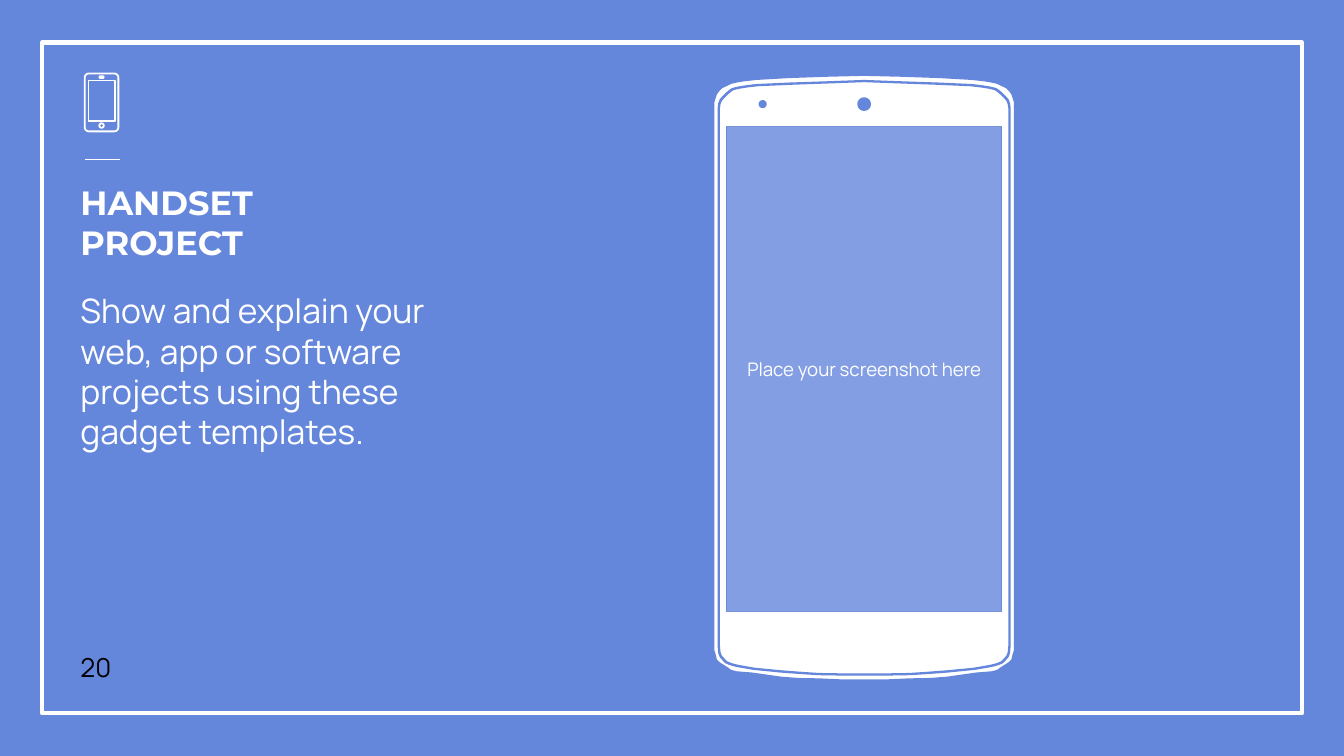
from math import cos, pi, sin

from lxml.etree import SubElement
from pptx import Presentation
from pptx.dml.color import RGBColor
from pptx.enum.shapes import MSO_CONNECTOR, MSO_SHAPE
from pptx.enum.text import MSO_ANCHOR, PP_ALIGN
from pptx.oxml.ns import qn
from pptx.util import Pt

BLUE = RGBColor(0x64, 0x86, 0xDB)
WHITE = RGBColor(0xFF, 0xFF, 0xFF)
BLACK = RGBColor(0x00, 0x00, 0x00)

CENTER_X, CENTER_Y = 462.95, 202.4
SCREEN = (389.5, 67.7, 146.9, 260)

CASE_HALF = [
    (0, 40.3), (20, 40.8), (40.3, 41.5), (57.6, 42.5), (64.1, 43.2),
    (68.4, 43.9), (71.3, 44.6), (74.2, 46), (76.3, 47), (77.8, 48.5),
    (79.2, 50.4), (79.9, 52.5), (80.6, 54.7), (80.6, 348.5),
    (79.9, 350.6), (79.2, 353.5), (77.8, 355), (75.6, 356.4),
    (73.4, 357.8), (71.3, 359.3), (68.4, 360), (59.8, 360.7),
    (44.6, 362.9), (35.3, 363.6), (24.5, 363.8), (13, 364.3), (0, 364.3),
]
BEZEL_HALF = [
    (0, 43.2), (19.4, 43.9), (39.6, 44.6), (57.6, 45.4), (63.4, 46.1),
    (67.7, 46.8), (70.6, 47.5), (72.7, 49), (74.2, 50.4), (75.6, 51.8),
    (77, 53.3), (77.8, 55.4), (78.1, 57.6), (78.1, 346.3),
    (77.8, 349.9), (77, 352), (75.6, 353.5), (74.2, 355),
    (72.7, 355.7), (70.6, 356.4), (67.7, 357.1), (59, 358.6),
    (44.6, 360), (35.3, 360.7), (24.5, 361.4), (13, 361.6), (0, 361.6),
]


def mirrored(half, inset=0):
    across = 1 - inset / half[len(half) // 2][0]
    down = 1 - inset / (CENTER_Y - half[0][1])
    right = [(x * across, CENTER_Y + (y - CENTER_Y) * down) for x, y in half]
    left = [(-x, y) for x, y in reversed(right[1:-1])]
    return [(CENTER_X + x, y) for x, y in right + left]


def rounded(left, top, width, height, radius=0):
    if not radius:
        right, bottom = left + width, top + height
        return [(left, top), (right, top), (right, bottom), (left, bottom)]
    corners = [
        (left + width - radius, top + height - radius),
        (left + radius, top + height - radius),
        (left + radius, top + radius),
        (left + width - radius, top + radius),
    ]
    return [
        (x + radius * cos((quarter + step / 4) * pi / 2),
         y + radius * sin((quarter + step / 4) * pi / 2))
        for quarter, (x, y) in enumerate(corners)
        for step in range(5)
    ]


def circle(x, y, radius):
    return rounded(x - radius, y - radius, 2 * radius, 2 * radius, radius)


def paint(shape, fill=None, line=None, width=0.75):
    shape.shadow.inherit = False
    if fill is None:
        shape.fill.background()
    else:
        shape.fill.solid()
        shape.fill.fore_color.rgb = fill
    if line is None:
        shape.line.fill.background()
    else:
        shape.line.color.rgb = line
        shape.line.width = Pt(width)


def add_outline(page, contours, **style):
    contours = [[(Pt(x), Pt(y)) for x, y in contour] for contour in contours]
    builder = page.shapes.build_freeform(*contours[0][0])
    for index, contour in enumerate(contours):
        if index:
            builder.move_to(*contour[0])
        builder.add_line_segments(contour[1:], close=True)
    paint(builder.convert_to_shape(), **style)


def add_rectangle(page, bounds, **style):
    box = page.shapes.add_shape(MSO_SHAPE.RECTANGLE, *map(Pt, bounds))
    paint(box, **style)
    return box


def add_rule(page, left, right, y):
    rule = page.shapes.add_connector(
        MSO_CONNECTOR.STRAIGHT, Pt(left), Pt(y), Pt(right), Pt(y))
    rule.line.color.rgb = WHITE
    rule.line.width = Pt(0.75)
    SubElement(rule._element.spPr, qn("a:effectLst"))


def write(box, text, size, font="Manrope", color=WHITE, bold=False,
          align=PP_ALIGN.LEFT, anchor=MSO_ANCHOR.TOP):
    frame = box.text_frame
    frame.word_wrap = True
    frame.vertical_anchor = anchor
    frame.margin_left = frame.margin_right = Pt(7.2)
    frame.margin_top = frame.margin_bottom = Pt(7.2)
    frame.text = text
    para = frame.paragraphs[0]
    para.alignment = align
    span = para.runs[0]
    span.font.name = font
    span.font.size = Pt(size)
    span.font.bold = bold
    span.font.color.rgb = color


def add_text(page, bounds, text, size, **style):
    write(page.shapes.add_textbox(*map(Pt, bounds)), text, size, **style)


def add_phone(page):
    add_outline(page, [
        mirrored(CASE_HALF),
        mirrored(BEZEL_HALF),
        mirrored(BEZEL_HALF, inset=0.5),
        rounded(*SCREEN),
        circle(CENTER_X, 55.8, 3.3),
        circle(408.6, 55.8, 1.8),
    ], fill=WHITE, line=BLUE)


def add_screen(page):
    screen = add_rectangle(page, SCREEN, fill=WHITE)
    color = screen.fill._xPr.find(qn("a:solidFill"))[0]
    SubElement(color, qn("a:alpha"), val="20000")
    write(screen, "Place your screenshot here", 10,
          align=PP_ALIGN.CENTER, anchor=MSO_ANCHOR.MIDDLE)


def add_phone_icon(page):
    add_outline(page, [
        rounded(45.4, 39.4, 18, 31, 2.2),
        rounded(53.3, 40.9, 2.2, 0.9, 0.4),
        circle(54.4, 67.3, 1.2),
        rounded(47.4, 43.2, 14, 21.6),
    ], line=WHITE, width=0.96)


def main():
    deck = Presentation()
    deck.slide_width, deck.slide_height = Pt(720), Pt(405)
    page = deck.slides.add_slide(deck.slide_layouts[6])
    page.background.fill.solid()
    page.background.fill.fore_color.rgb = BLUE

    add_rectangle(page, (22.5, 22.8, 675, 359.4), line=WHITE, width=2.25)
    add_rule(page, 45.5, 64.2, 85.5)
    add_phone(page)
    add_text(page, (36, 148.3, 231.8, 203),
             "Show and explain your web, app or software projects "
             "using these gadget templates.", 18)
    add_screen(page)
    add_text(page, (36, 329.8, 43.2, 43.2), "20", 14,
             color=BLACK, anchor=MSO_ANCHOR.BOTTOM)
    add_text(page, (36, 90, 169.9, 64.1), "HANDSET PROJECT", 18,
             font="Montserrat", bold=True)
    add_phone_icon(page)
    deck.save("out.pptx")


if __name__ == "__main__":
    main()
